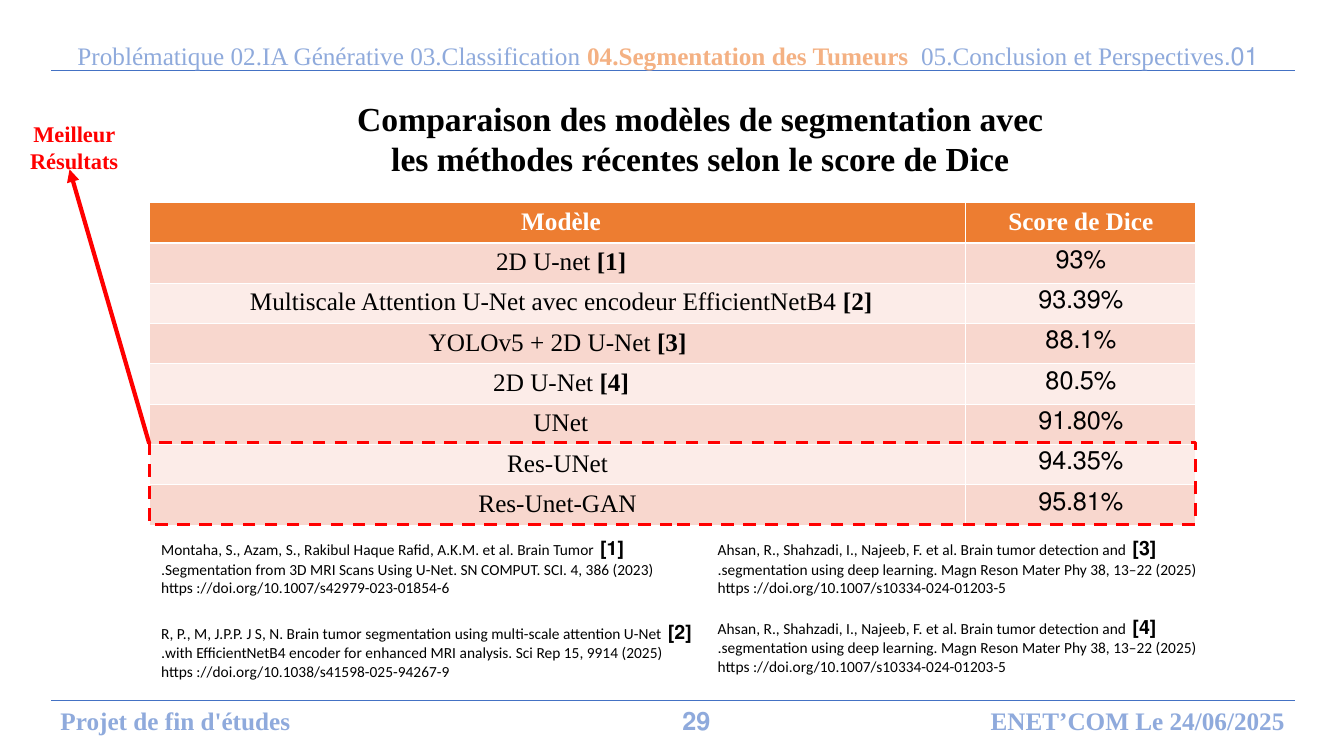
from dataclasses import dataclass
from typing import Optional

from lxml import etree
from pptx import Presentation
from pptx import util as u
from pptx.dml.color import RGBColor
from pptx.enum import dml, shapes, text
from pptx.oxml import ns

SERIF, SANS = "Times New Roman", "Calibri"
BLACK, WHITE, RED = "000000", "FFFFFF", "FF0000"
PALE_BLUE, RULE_BLUE, PEACH = "8FAADC", "4472C4", "F4B183"
HEADER_FILL, BANDS = "ED7D31", ("F8D7CE", "FCECE8")
LEFT, CENTER, RIGHT = text.PP_ALIGN.LEFT, text.PP_ALIGN.CENTER, text.PP_ALIGN.RIGHT


@dataclass
class Phrase:
    """A stretch of text that may differ from its paragraph."""
    words: str
    size: Optional[float] = None
    bold: Optional[bool] = None
    color: Optional[str] = None


@dataclass
class Style:
    size: float
    color: str
    bold: bool = False
    align: text.PP_ALIGN = CENTER
    face: str = SERIF


@dataclass
class Label:
    box: tuple
    phrases: list
    style: Style
    anchor: text.MSO_ANCHOR = text.MSO_ANCHOR.TOP


@dataclass
class Reference:
    left: float
    top: float
    number: str
    lines: tuple


def rgb(value: str) -> RGBColor:
    return RGBColor.from_string(value)


def inches(box: tuple) -> list:
    return [u.Inches(length) for length in box]


def write(paragraph, phrases: list, style: Style) -> None:
    """Fill a right-to-left paragraph."""
    paragraph.alignment = style.align
    paragraph._p.get_or_add_pPr().set("rtl", "1")
    font = paragraph.font
    font.name, font.size, font.bold = style.face, u.Pt(style.size), style.bold
    font.color.rgb = rgb(style.color)
    for phrase in phrases:
        run = paragraph.add_run()
        run.text = phrase.words
        if phrase.size is not None:
            run.font.size = u.Pt(phrase.size)
        if phrase.bold is not None:
            run.font.bold = phrase.bold
        if phrase.color is not None:
            run.font.color.rgb = rgb(phrase.color)


def add_frame(slide, box: tuple, anchor=text.MSO_ANCHOR.TOP):
    frame = slide.shapes.add_textbox(*inches(box)).text_frame
    frame.word_wrap = True
    frame.vertical_anchor = anchor
    return frame


def add_label(slide, label: Label) -> None:
    frame = add_frame(slide, label.box, label.anchor)
    write(frame.paragraphs[0], label.phrases, label.style)


def add_reference(slide, reference: Reference) -> None:
    frame = add_frame(slide, (reference.left, reference.top, 5.51, 0.71))
    style = Style(11, BLACK, align=LEFT, face=SANS)
    for index, line in enumerate(reference.lines):
        paragraph = frame.add_paragraph() if index else frame.paragraphs[0]
        number = [] if index else [Phrase(f"[{reference.number}] ", 14, True)]
        write(paragraph, number + [Phrase(line)], style)


def add_line(slide, ends: tuple, color: str, width: float, arrow: bool = False) -> None:
    line = slide.shapes.add_connector(shapes.MSO_CONNECTOR.STRAIGHT, *inches(ends))
    line.line.color.rgb = rgb(color)
    line.line.width = u.Pt(width)
    if arrow:
        etree.SubElement(line.line._get_or_add_ln(), ns.qn("a:tailEnd"), type="triangle")
    etree.SubElement(line._element.spPr, ns.qn("a:effectLst"))


def add_scores(slide, rows: list) -> None:
    table = slide.shapes.add_table(len(rows) + 1, 2, *inches((1.48, 2.01, 10.38, 3.2))).table
    for column, width in zip(table.columns, (8.1, 2.28)):
        column.width = u.Inches(width)
    heading = ([Phrase("Modèle ")], [Phrase("Score de Dice")])
    body = [([Phrase(model)] + ([Phrase(source, bold=True)] if source else []), [Phrase(score)])
            for model, source, score in rows]
    for r, row in enumerate([heading] + body):
        style = Style(18, BLACK) if r else Style(18, WHITE, True)
        for c, phrases in enumerate(row):
            cell = table.cell(r, c)
            cell.fill.solid()
            cell.fill.fore_color.rgb = rgb(BANDS[(r - 1) % 2] if r else HEADER_FILL)
            write(cell.text_frame.paragraphs[0], phrases, style)


SCORES = [
    ("2D U-net ", "[1] ", "93%"),
    ("Multiscale Attention U-Net avec encodeur EfficientNetB4 ", "[2] ", "93.39%"),
    ("YOLOv5 + 2D U-Net ", "[3]", "88.1%"),
    ("2D U-Net ", "[4] ", "80.5%"),
    ("UNet ", "", "91.80%"),
    ("Res-UNet", "", "94.35%"),
    ("Res-Unet-GAN", "", "95.81%"),
]

AHSAN = (
    "Ahsan, R., Shahzadi, I., Najeeb, F. et al. Brain tumor detection and",
    "segmentation using deep learning. Magn Reson Mater Phy 38, 13–22 (2025).",
    "https ://doi.org/10.1007/s10334-024-01203-5",
)
REFERENCES = [
    Reference(1.5, 5.27, "1", (
        "Montaha, S., Azam, S., Rakibul Haque Rafid, A.K.M. et al. Brain Tumor",
        "Segmentation from 3D MRI Scans Using U-Net. SN COMPUT. SCI. 4, 386 (2023).",
        "https ://doi.org/10.1007/s42979-023-01854-6")),
    Reference(1.5, 6.1, "2", (
        "R, P., M, J.P.P. J S, N. Brain tumor segmentation using multi-scale attention U-Net",
        "with EfficientNetB4 encoder for enhanced MRI analysis. Sci Rep 15, 9914 (2025).",
        "https ://doi.org/10.1038/s41598-025-94267-9")),
    Reference(7.02, 5.27, "3", AHSAN),
    Reference(7.02, 6.05, "4", AHSAN),
]

LABELS = [
    Label((0.24, 6.95, 3, 0.4), [Phrase("Projet de fin d'études")], Style(18, PALE_BLUE, True)),
    Label((6.18, 6.95, 6.66, 0.4), [Phrase("ENET’COM Le 24/06/2025")],
          Style(18, PALE_BLUE, True, RIGHT)),
    Label((6.67, 6.95, 2.11, 0.4), [Phrase("29")], Style(18, PALE_BLUE, True, LEFT)),
    Label((0.14, 1.22, 1.19, 0.47), [Phrase("Meilleur Résultats")], Style(16, RED, True),
          text.MSO_ANCHOR.MIDDLE),
    Label((0.67, 0.35, 12.22, 0.4), [
        Phrase("01.Problématique 02.IA Générative 03.Classification "),
        Phrase("04.Segmentation des Tumeurs  ", bold=True, color=PEACH),
        Phrase("05.Conclusion et Perspectives")], Style(18, PALE_BLUE, align=LEFT)),
]


def main() -> None:
    deck = Presentation()
    deck.slide_width, deck.slide_height = u.Inches(13.33), u.Inches(7.5)
    slide = deck.slides.add_slide(deck.slide_layouts[5])

    # Title
    title = slide.shapes.title
    title.left, title.top, title.width, title.height = inches((3.24, 0.92, 7.41, 0.91))
    title.text_frame.auto_size = text.MSO_AUTO_SIZE.NONE
    title.text_frame.vertical_anchor = text.MSO_ANCHOR.TOP
    write(title.text_frame.paragraphs[0], [Phrase(
        "Comparaison des modèles de segmentation avec les méthodes récentes "
        "selon le score de Dice")], Style(24, BLACK, True))

    # Header and footer rules
    for rule_y in (0.7, 6.95):
        add_line(slide, (0.51, rule_y, 12.84, rule_y), RULE_BLUE, 0.5)

    # Scores and their sources
    add_scores(slide, SCORES)
    for reference in REFERENCES:
        add_reference(slide, reference)

    # Best results
    best = slide.shapes.add_shape(shapes.MSO_SHAPE.RECTANGLE, *inches((1.48, 4.39, 10.38, 0.81)))
    best.shadow.inherit = False
    best.fill.background()
    best.line.color.rgb = rgb(RED)
    best.line.width = u.Pt(2.25)
    best.line.dash_style = dml.MSO_LINE.DASH
    add_line(slide, (1.48, 4.4, 0.69, 1.68), RED, 3, arrow=True)

    # Navigation, footer and callout
    for label in LABELS:
        add_label(slide, label)

    deck.save("out.pptx")


if __name__ == "__main__":
    main()
